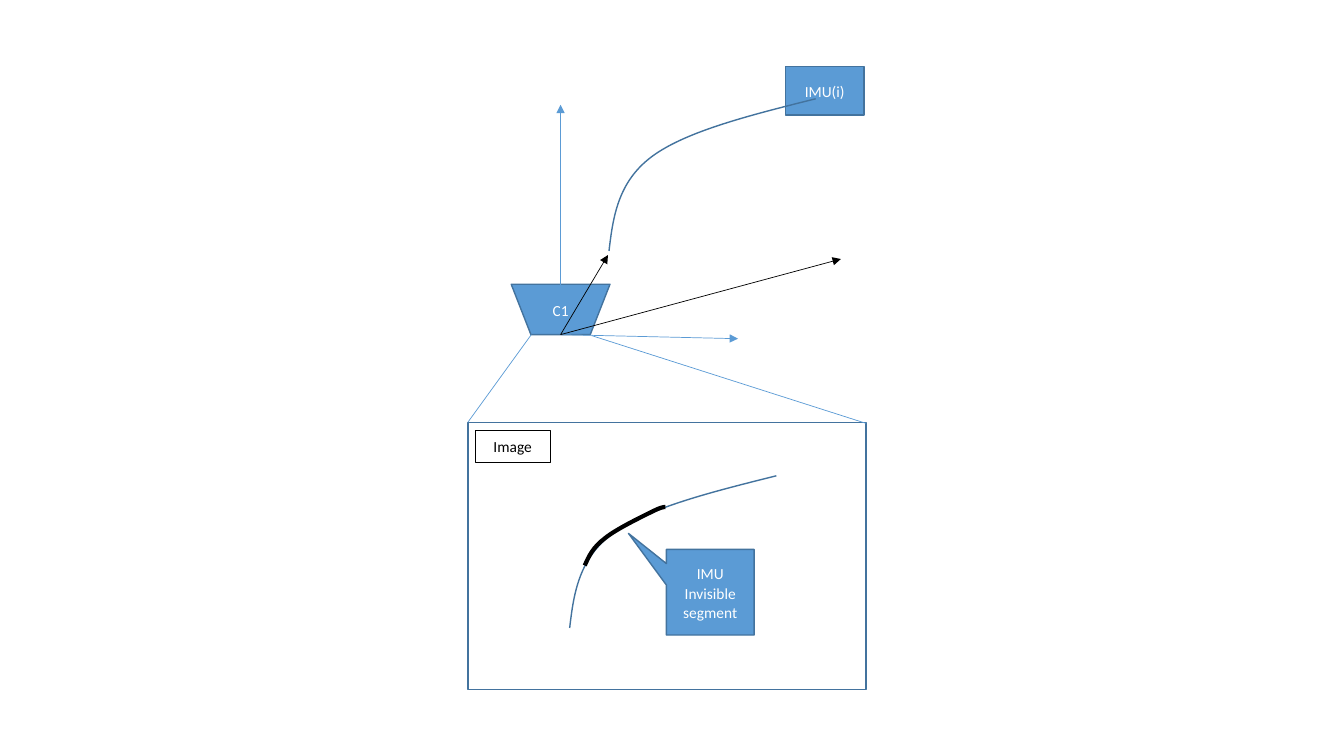
from pptx import Presentation
from pptx import util as u
from pptx.dml.color import RGBColor
from pptx.enum import shapes, text
from pptx.oxml.ns import qn
from lxml import etree

PX = 9144  # 100 px to the inch
SIZE = 1333, 750
BLUE, EDGE, BLACK, WHITE = "5B9BD5", "43739E", "000000", "FFFFFF"
KIND = shapes.MSO_SHAPE

# left, top, width, height
CAMERA = 507, 282, 98, 50
IMU = 779, 66, 78, 48
FRAME = 464, 419, 395, 265
NOTE = 661, 545, 87, 85
LABEL = 471, 427, 75, 32
TIP = -0.933, -0.687

# tips of the arrows that leave the camera
AXES = [(556, 104), (732, 336)]
RAYS = [(603, 253), (834, 257)]
# camera corner to frame corner
VIEW = [((527, 332), (464, 419)), ((587, 333), (859, 420))]

# Bezier points: a start, then three for each piece
ARC = [(0, 0), (4, -34), (9, -69), (43, -94), (77, -119), (141, -135), (205, -151)]
FLIGHT, TRACK = (604, 249), (565, 623)
HIDDEN = [(580, 561), (584, 552), (588, 543), (600, 534), (611, 525),
          (636, 513), (646, 508), (656, 503), (658, 503), (660, 503)]

deck = Presentation()
deck.slide_width, deck.slide_height = [n * PX for n in SIZE]
slide = deck.slides.add_slide(deck.slide_layouts[6])


def rgb(code):
    return RGBColor.from_string(code)


def ink(item, color, width):
    item.line.color.rgb = rgb(color)
    item.line.width = u.Pt(width)


def write(shape, words, color=WHITE, anchor=text.MSO_ANCHOR.MIDDLE):
    frame = shape.text_frame
    frame.word_wrap = True
    frame.vertical_anchor = anchor
    para = frame.paragraphs[0]
    para.text = words
    para.alignment = text.PP_ALIGN.CENTER
    para.line_spacing = 1.07
    para.space_after = u.Pt(8)
    para.font.name = "Calibri"
    para.font.size = u.Pt(11)
    para.font.color.rgb = rgb(color)


def block(kind, box, fill=BLUE, edge=EDGE, width=1):
    shape = slide.shapes.add_shape(kind, *[n * PX for n in box])
    shape.shadow.inherit = False
    if fill:
        shape.fill.solid()
        shape.fill.fore_color.rgb = rgb(fill)
    else:
        shape.fill.background()
    ink(shape, edge, width)
    return shape


def link(start, end, color=BLUE):
    line = slide.shapes.add_connector(
        shapes.MSO_CONNECTOR.STRAIGHT, *[n * PX for n in start + end])
    ink(line, color, 0.5)
    etree.SubElement(line._element.spPr, qn("a:effectLst"))
    return line


def arrow(source, end, color):
    """Draw an arrow from the bottom middle of a shape."""
    line = link((0, 0), end, color)
    line.begin_connect(source, 2)
    etree.SubElement(line.line._get_or_add_ln(), qn("a:tailEnd"), type="triangle")


def curve(points, color=EDGE, width=1):
    """Draw a freeform and turn each three of its segments into one cubic."""
    pen = slide.shapes.build_freeform(
        *[n * PX for n in points[0]], scale=1)
    pen.add_line_segments([(x * PX, y * PX) for x, y in points[1:]], close=False)
    shape = pen.convert_to_shape()
    shape.shadow.inherit = False
    shape.fill.background()
    ink(shape, color, width)
    legs = list(shape._element.iter(qn("a:lnTo")))
    for first in legs[::3]:
        i = legs.index(first)
        cubic = etree.Element(qn("a:cubicBezTo"))
        first.addprevious(cubic)
        for leg in legs[i:i + 3]:
            cubic.append(leg[0])
            leg.getparent().remove(leg)


def arc(start):
    x, y = start
    curve([(x + dx, y + dy) for dx, dy in ARC])


camera = block(KIND.FLOWCHART_MANUAL_OPERATION, CAMERA)
write(camera, "C1")
for end in AXES:
    arrow(camera, end, BLUE)
write(block(KIND.RECTANGLE, IMU), "IMU(i)")
arc(FLIGHT)
for end in RAYS:
    arrow(camera, end, BLACK)

block(KIND.RECTANGLE, FRAME, fill=None)
for start, end in VIEW:
    link(start, end)
arc(TRACK)
curve(HIDDEN, BLACK, 3)

note = block(KIND.RECTANGULAR_CALLOUT, NOTE)
for i, value in enumerate(TIP):
    note.adjustments[i] = value
write(note, "IMU Invisible segment")
label = block(KIND.RECTANGLE, LABEL, WHITE, BLACK, 0.5)
write(label, "Image", BLACK, text.MSO_ANCHOR.TOP)

deck.save("out.pptx")
